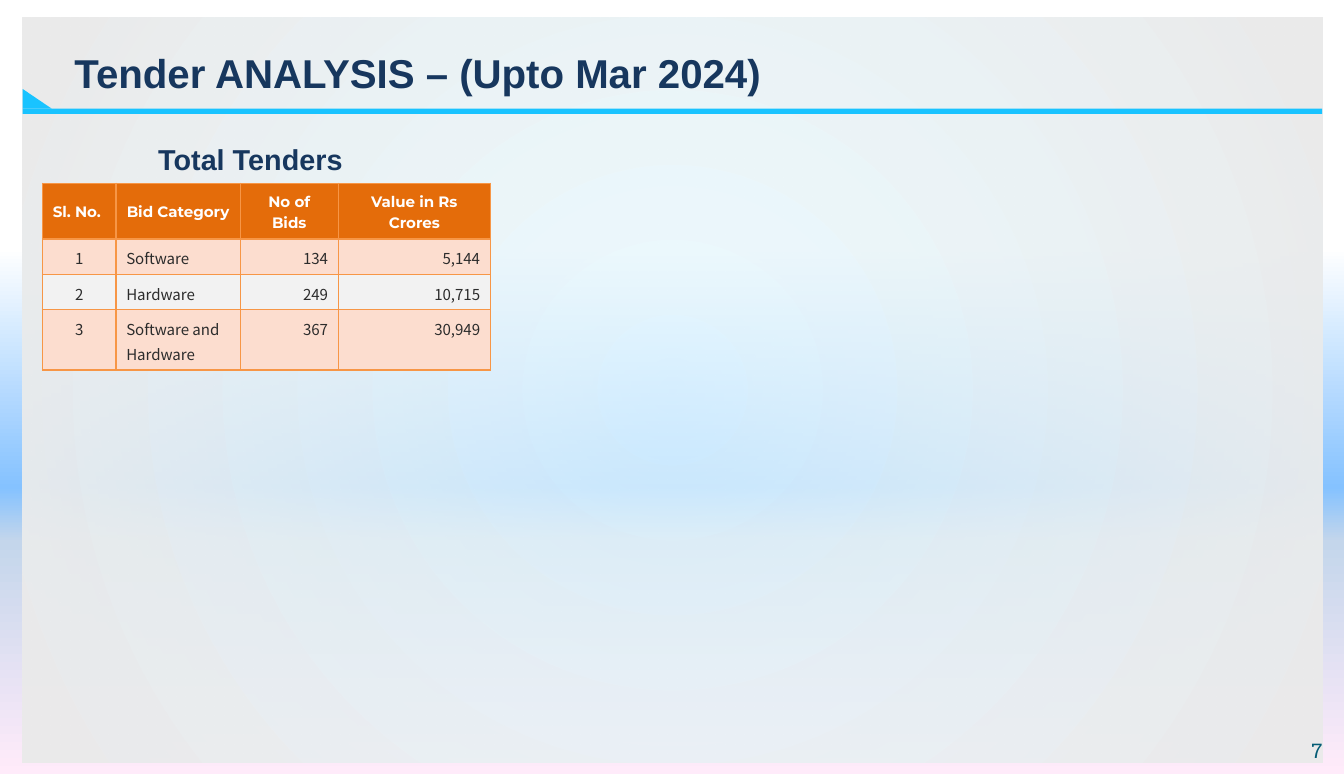
from lxml.etree import SubElement
from pptx import Presentation
from pptx.dml.color import RGBColor
from pptx.enum.shapes import MSO_SHAPE
from pptx.enum.text import MSO_ANCHOR, PP_ALIGN
from pptx.oxml import parse_xml
from pptx.oxml.ns import nsdecls, qn
from pptx.util import Inches, Pt

WIDE, HIGH = Inches(12.99), Inches(7.48)
HUES = {
    "navy": "17375E", "cyan": "19C3FF", "teal": "045C75", "white": "FFFFFF",
    "ink": "2C2C2C", "head": "E46C0A", "odd": "FCDDCF", "even": "F2F2F2",
    "edge": "F79646", "sky": "85C2FF", "haze": "C4D6EB", "pink": "FFEBFA",
    "ice": "E5F8FF", "mist": "EBEBEB",
}
COLS = (5.47, 9.24, 7.31, 11.32)
ROWS = (7.22, 4.57, 4.57, 7.8)
ALIGNS = (PP_ALIGN.CENTER, PP_ALIGN.LEFT, PP_ALIGN.RIGHT, PP_ALIGN.RIGHT)
BIDS = (
    ("Sl. No.", "Bid Category", "No of Bids", "Value in Rs Crores"),
    ("1", "Software", "134", "5,144"),
    ("2", "Hardware", "249", "10,715"),
    ("3", "Software and Hardware", "367", "30,949"),
)


def hue(name):
    """Return a named colour."""
    return RGBColor.from_string(HUES[name])


def area(left, top, width, height):
    """Turn percentages of the slide into lengths."""
    return (int(WIDE * left / 100), int(HIGH * top / 100),
            int(WIDE * width / 100), int(HIGH * height / 100))


def blend(root, stops, round=False):
    """Rewrite the gradient under root with (percent, colour, opacity) stops."""
    grad = root.find(".//" + qn("a:gradFill"))
    for child in list(grad):
        grad.remove(child)
    items = SubElement(grad, qn("a:gsLst"))
    for share, name, solid in stops:
        stop = SubElement(items, qn("a:gs"), pos=str(share * 1000))
        tint = SubElement(stop, qn("a:srgbClr"), val=HUES[name])
        if solid < 100:
            SubElement(tint, qn("a:alpha"), val=str(solid * 1000))
    if round:
        core = SubElement(grad, qn("a:path"), path="circle")
        SubElement(core, qn("a:fillToRect"), l="50000", t="50000", r="50000", b="50000")
    else:
        SubElement(grad, qn("a:lin"), ang="5400000", scaled="0")


def block(slide, kind, box, name=None):
    """Add a shape without outline, filled when a colour is named."""
    shape = slide.shapes.add_shape(kind, *area(*box))
    shape.shadow.inherit = False
    shape.line.fill.background()
    if name:
        shape.fill.solid()
        shape.fill.fore_color.rgb = hue(name)
    return shape


def write(frame, text, size, font, name, bold=False, align=PP_ALIGN.LEFT):
    """Put one formatted run in the first paragraph and return the paragraph."""
    para = frame.paragraphs[0]
    para.alignment = align
    run = para.add_run()
    run.text = text
    run.font.size, run.font.name, run.font.bold = Pt(size), font, bold
    run.font.color.rgb = hue(name)
    return para


def label(shape, box, text, size, font, name, bold, align, anchor=MSO_ANCHOR.MIDDLE):
    """Place a text shape and write its line."""
    shape.left, shape.top, shape.width, shape.height = area(*box)
    frame = shape.text_frame
    frame.word_wrap = True
    frame.vertical_anchor = anchor
    frame.margin_left = frame.margin_right = Inches(0.13)
    frame.margin_top = frame.margin_bottom = Inches(0.06)
    write(frame, text, size, font, name, bold, align)


def border(cell):
    """Draw thin lines on all four sides of a cell."""
    props = cell._tc.get_or_add_tcPr()
    for spot, side in enumerate("LRTB"):
        props.insert(spot, parse_xml(
            f'<a:ln{side} {nsdecls("a")} w="12700"><a:solidFill>'
            f'<a:srgbClr val="{HUES["edge"]}"/></a:solidFill></a:ln{side}>'))


def grid(slide, left, top):
    """Add the table of bids."""
    box = area(left, top, sum(COLS), sum(ROWS))
    table = slide.shapes.add_table(len(ROWS), len(COLS), *box).table
    table.horz_banding = False
    for col, share in zip(table.columns, COLS):
        col.width = int(WIDE * share / 100)
    for r, (share, texts) in enumerate(zip(ROWS, BIDS)):
        table.rows[r].height = int(HIGH * share / 100)
        for c, text in enumerate(texts):
            cell = table.cell(r, c)
            cell.fill.solid()
            cell.fill.fore_color.rgb = hue("head" if r == 0 else "odd" if r % 2 else "even")
            border(cell)
            if r == 0:
                cell.vertical_anchor = MSO_ANCHOR.MIDDLE
                align = PP_ALIGN.CENTER if c else PP_ALIGN.LEFT
                style = ("Montserrat", "white", True, align)
            else:
                style = ("Noto Sans CJK JP", "ink", False, ALIGNS[c])
            write(cell.text_frame, text, 10.5, *style).line_spacing = 1.15


def main():
    """Build the slide and save it."""
    deck = Presentation()
    deck.slide_width, deck.slide_height = WIDE, HIGH
    slide = deck.slides.add_slide(deck.slide_layouts[5])
    shapes = slide.shapes
    slide.background.fill.gradient()
    blend(slide.element, ((32, "white", 100), (63, "sky", 100),
                          (70, "haze", 100), (100, "pink", 100)))

    veil = block(slide, MSO_SHAPE.RECTANGLE, (1.69, 2.27, 96.69, 96.26))
    veil.fill.gradient()
    blend(veil.element, ((0, "ice", 69), (100, "mist", 100)), round=True)
    block(slide, MSO_SHAPE.RECTANGLE, (1.69, 14.04, 96.69, 0.67), "cyan")
    block(slide, MSO_SHAPE.RIGHT_TRIANGLE, (1.69, 11.5, 2.16, 2.54), "cyan")

    title = shapes.title
    shapes.element.append(title.element)
    label(title, (4.54, 4.68, 74.98, 9.36), "Tender ANALYSIS – (Upto Mar 2024)",
          28, "Arial", "navy", True, PP_ALIGN.LEFT)
    label(shapes.add_textbox(0, 0, 0, 0), (76.06, 94.65, 23.33, 5.35), "7",
          14, "Roboto Slab", "teal", False, PP_ALIGN.RIGHT, MSO_ANCHOR.TOP)
    label(shapes.add_textbox(0, 0, 0, 0), (1.16, 15.91, 34.95, 9.36), "Total Tenders",
          20, "Arial", "navy", True, PP_ALIGN.CENTER)
    grid(slide, 3.16, 23.66)
    deck.save("out.pptx")


if __name__ == "__main__":
    main()
